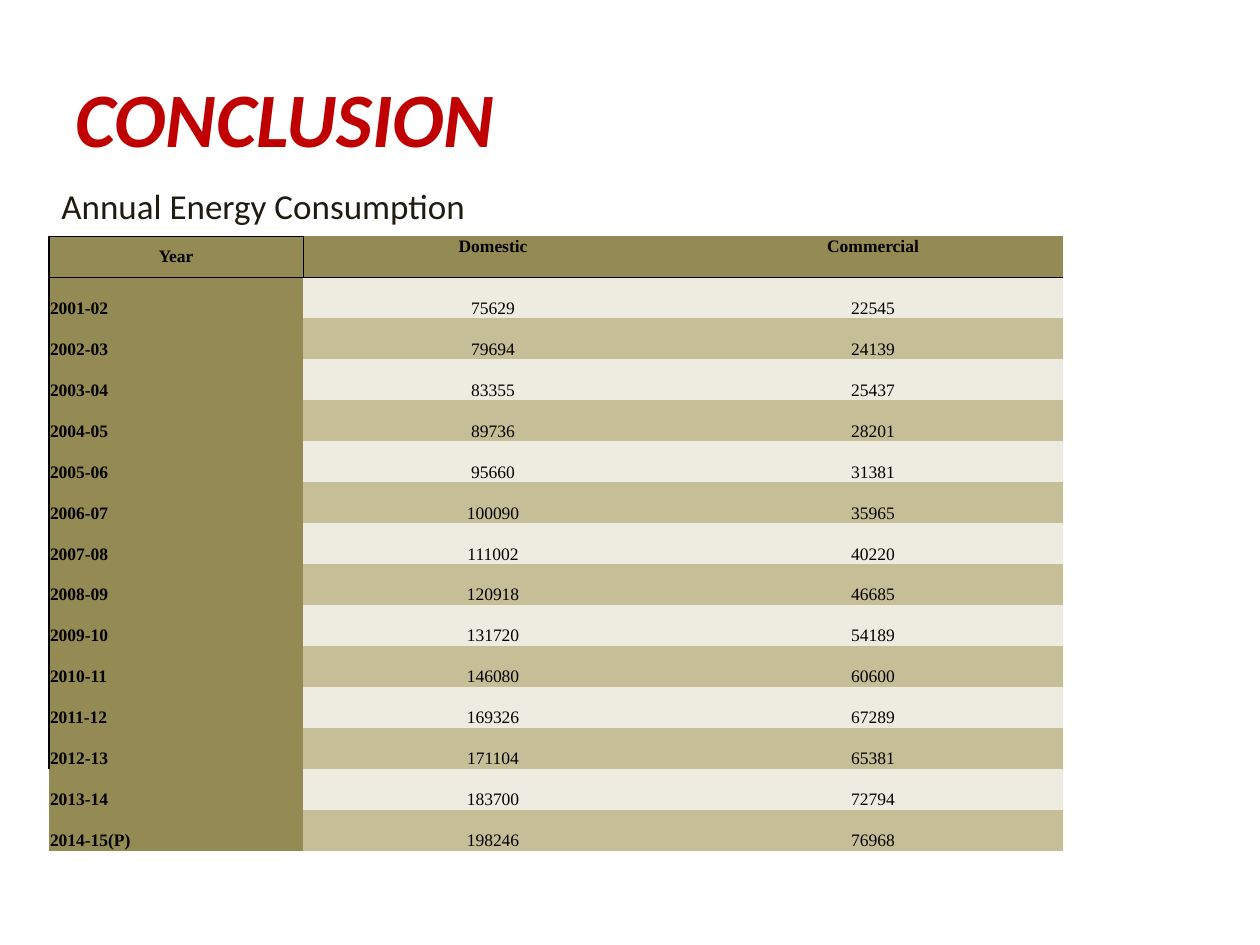
from lxml import etree
from pptx import Presentation
from pptx.dml.color import RGBColor
from pptx.enum.text import MSO_ANCHOR, PP_ALIGN
from pptx.oxml.ns import qn
from pptx.util import Emu, Pt

LEFT, CENTER = PP_ALIGN.LEFT, PP_ALIGN.CENTER
TOP, MIDDLE, BOTTOM = MSO_ANCHOR.TOP, MSO_ANCHOR.MIDDLE, MSO_ANCHOR.BOTTOM
RED = RGBColor(0xC0, 0x00, 0x00)
DARK = RGBColor(0x1E, 0x1C, 0x11)
BLACK = RGBColor(0x00, 0x00, 0x00)
OLIVE = RGBColor(0x94, 0x8B, 0x54)
CREAM = RGBColor(0xEE, 0xEC, 0xE1)
TAN = RGBColor(0xC5, 0xBE, 0x97)
EMU_PER_PX = 914400 / 126
LAST_RULED_ROW = 12

ENERGY = [
    ("Year", "Domestic", "Commercial"),
    ("2001-02", "75629", "22545"),
    ("2002-03", "79694", "24139"),
    ("2003-04", "83355", "25437"),
    ("2004-05", "89736", "28201"),
    ("2005-06", "95660", "31381"),
    ("2006-07", "100090", "35965"),
    ("2007-08", "111002", "40220"),
    ("2008-09", "120918", "46685"),
    ("2009-10", "131720", "54189"),
    ("2010-11", "146080", "60600"),
    ("2011-12", "169326", "67289"),
    ("2012-13", "171104", "65381"),
    ("2013-14", "183700", "72794"),
    ("2014-15(P)", "198246", "76968"),
]


def px(n):
    return Emu(round(n * EMU_PER_PX))


class EnergySlide:
    """Style and element builders for the current slide."""

    heading_font = "Calibri"
    table_font = "Times New Roman"

    def __init__(self, prs):
        self.s = prs.slides.add_slide(prs.slide_layouts[6])

    def style(self, p, name, size, color, bold=False, italic=False):
        font = p.font
        font.name, font.size = name, Pt(size)
        font.bold, font.italic = bold, italic
        font.color.rgb = color

    def text(self, x, y, w, h, text, size, color, anchor=TOP, strong=False):
        tf = self.s.shapes.add_textbox(px(x), px(y), px(w), px(h)).text_frame
        tf.word_wrap = True
        tf.vertical_anchor = anchor
        p = tf.paragraphs[0]
        p.text = text
        self.style(p, self.heading_font, size, color, strong, strong)

    def borders(self, cell, widths):
        tcPr = cell._tc.get_or_add_tcPr()
        for side in "LRTB":
            ln = etree.SubElement(tcPr, qn(f"a:ln{side}"))
            if side in widths:
                ln.set("w", str(Pt(widths[side])))
                fill = etree.SubElement(ln, qn("a:solidFill"))
                etree.SubElement(fill, qn("a:srgbClr")).set("val", str(BLACK))
            else:
                ln.set("w", "0")
                etree.SubElement(ln, qn("a:noFill"))

    def cell_borders(self, row, col):
        widths = {}
        if col == 0 and row <= LAST_RULED_ROW:
            widths["L"] = 1
        if row == 0:
            widths["B"] = 0.5
            if col == 0:
                widths.update(T=0.5, R=0.5)
            elif col == 1:
                widths["L"] = 0.5
        elif row == 1:
            widths["T"] = 0.5
        return widths

    def cell(self, cell, row, col, text):
        header, label = row == 0, col == 0
        self.borders(cell, self.cell_borders(row, col))
        cell.fill.solid()
        cell.fill.fore_color.rgb = OLIVE if header or label else (TAN, CREAM)[row % 2]
        cell.margin_left = cell.margin_right = cell.margin_top = px(1)
        cell.margin_bottom = 0
        if header:
            cell.vertical_anchor = MIDDLE if label else TOP
        else:
            cell.vertical_anchor = BOTTOM
        p = cell.text_frame.paragraphs[0]
        p.text = text
        p.alignment = LEFT if label and not header else CENTER
        self.style(p, self.table_font, 10, BLACK, bold=header or label)

    def table(self, x, y, widths, row_height, rows):
        table = self.s.shapes.add_table(
            len(rows), len(widths), px(x), px(y),
            px(sum(widths)), px(row_height * len(rows))).table
        table.first_row = table.horz_banding = False
        for column, width in zip(table.columns, widths):
            column.width = px(width)
        for i, values in enumerate(rows):
            table.rows[i].height = px(row_height)
            for j, value in enumerate(values):
                self.cell(table.cell(i, j), i, j, value)


def main():
    prs = Presentation()
    prs.slide_width, prs.slide_height = px(1260), px(945)
    slide = EnergySlide(prs)
    slide.text(63, 38, 1134, 158, "CONCLUSION", 44, RED, MIDDLE, strong=True)
    slide.table(49, 236, (254, 380, 380), 41, ENERGY)
    slide.text(49, 178, 630, 55, "Annual Energy Consumption", 20, DARK)
    prs.save("out.pptx")


if __name__ == "__main__":
    main()
